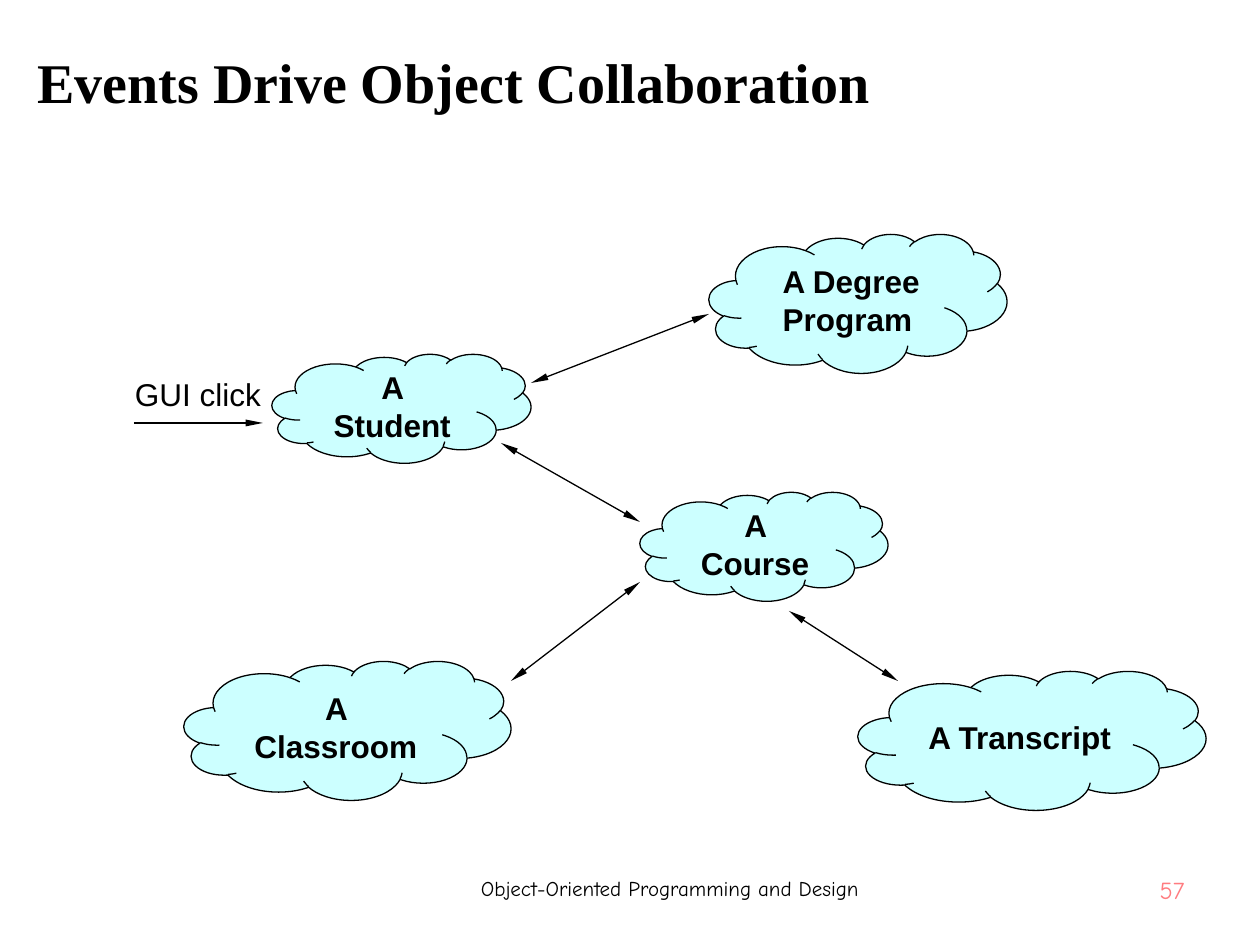
from lxml import etree
from pptx import Presentation
from pptx.dml.color import RGBColor
from pptx.enum.shapes import MSO_CONNECTOR, MSO_SHAPE
from pptx.enum.text import MSO_ANCHOR, MSO_AUTO_SIZE, PP_ALIGN
from pptx.oxml.ns import qn
from pptx.util import Pt

PX = 914400 // 126
LEFT, CENTER, RIGHT = PP_ALIGN.LEFT, PP_ALIGN.CENTER, PP_ALIGN.RIGHT
TOP, MIDDLE = MSO_ANCHOR.TOP, MSO_ANCHOR.MIDDLE
CLOUD, STRAIGHT = MSO_SHAPE.CLOUD, MSO_CONNECTOR.STRAIGHT
BLACK, PALE_CYAN, PINK = "000000", "CCFFFF", "FF7C80"
TITLE_FONT, LABEL_FONT, FOOTER_FONT = "Times New Roman", "Arial", "Comic Neue"

TITLE = ("Events Drive Object Collaboration", (25, 26, 1211, 110))

# Collaborating objects: text, (left, top, width, height)
OBJECTS = [
    ("A Student", (272, 354, 259, 109)),
    (" A Degree Program", (709, 234, 298, 139)),
    ("A Course", (640, 492, 248, 109)),
    ("A Classroom", (184, 661, 327, 139)),
    ("A Transcript", (858, 671, 348, 139)),
]

# Messages: start, end, whether the arrow points both ways
MESSAGES = [
    ((134, 423), (263, 423), False),
    ((531, 383), (709, 314), True),
    ((501, 443), (640, 522), True),
    ((511, 681), (640, 582), True),
    ((789, 611), (898, 681), True),
]

# Text boxes: text, box, font, size, colour, alignment, anchor, wrap
LABELS = [
    ("GUI click", (134, 374, 128, 39), LABEL_FONT, 18, BLACK, CENTER, MIDDLE, False),
    ("Object-Oriented Programming and Design", (382, 869, 576, 57),
     FOOTER_FONT, 12, BLACK, CENTER, TOP, True),
    ("57", (1057, 869, 140, 57), FOOTER_FONT, 14, PINK, RIGHT, TOP, True),
]


def color(value):
    return RGBColor.from_string(value)


def scaled(lengths):
    return [length * PX for length in lengths]


def write(shape, text, font_name, size, text_color=BLACK, bold=False,
          align=CENTER, anchor=MIDDLE, wrap=True):
    frame = shape.text_frame
    frame.auto_size = MSO_AUTO_SIZE.NONE
    frame.word_wrap = wrap
    frame.vertical_anchor = anchor
    paragraph = frame.paragraphs[0]
    paragraph.text = text
    paragraph.alignment = align
    font = paragraph.font
    font.name, font.size, font.bold = font_name, Pt(size), bold
    font.color.rgb = color(text_color)


def add_cloud(slide, text, box):
    cloud = slide.shapes.add_shape(CLOUD, *scaled(box))
    cloud.shadow.inherit = False
    cloud.fill.solid()
    cloud.fill.fore_color.rgb = color(PALE_CYAN)
    cloud.line.color.rgb = color(BLACK)
    cloud.line.width = Pt(0.75)
    write(cloud, text, LABEL_FONT, 18, bold=True)


def add_arrow(slide, start, end, both_ways):
    arrow = slide.shapes.add_connector(STRAIGHT, *scaled(start + end))
    arrow.line.color.rgb = color(BLACK)
    arrow.line.width = Pt(0.75)
    line = arrow.line._get_or_add_ln()
    for tag in ("a:headEnd", "a:tailEnd") if both_ways else ("a:tailEnd",):
        etree.SubElement(line, qn(tag), type="triangle", w="sm", len="lg")
    etree.SubElement(arrow._element.spPr, qn("a:effectLst"))


def main():
    presentation = Presentation()
    presentation.slide_width, presentation.slide_height = scaled((1260, 945))
    slide = presentation.slides.add_slide(presentation.slide_layouts[5])

    # Title
    text, box = TITLE
    title = slide.shapes.title
    title.left, title.top, title.width, title.height = scaled(box)
    write(title, text, TITLE_FONT, 32, bold=True, align=LEFT)

    # Objects and the messages between them
    for text, box in OBJECTS:
        add_cloud(slide, text, box)
    for start, end, both_ways in MESSAGES:
        add_arrow(slide, start, end, both_ways)

    # Event label, footer and page number
    for text, box, font_name, size, text_color, align, anchor, wrap in LABELS:
        label = slide.shapes.add_textbox(*scaled(box))
        write(label, text, font_name, size, text_color,
              align=align, anchor=anchor, wrap=wrap)

    presentation.save("out.pptx")


if __name__ == "__main__":
    main()
